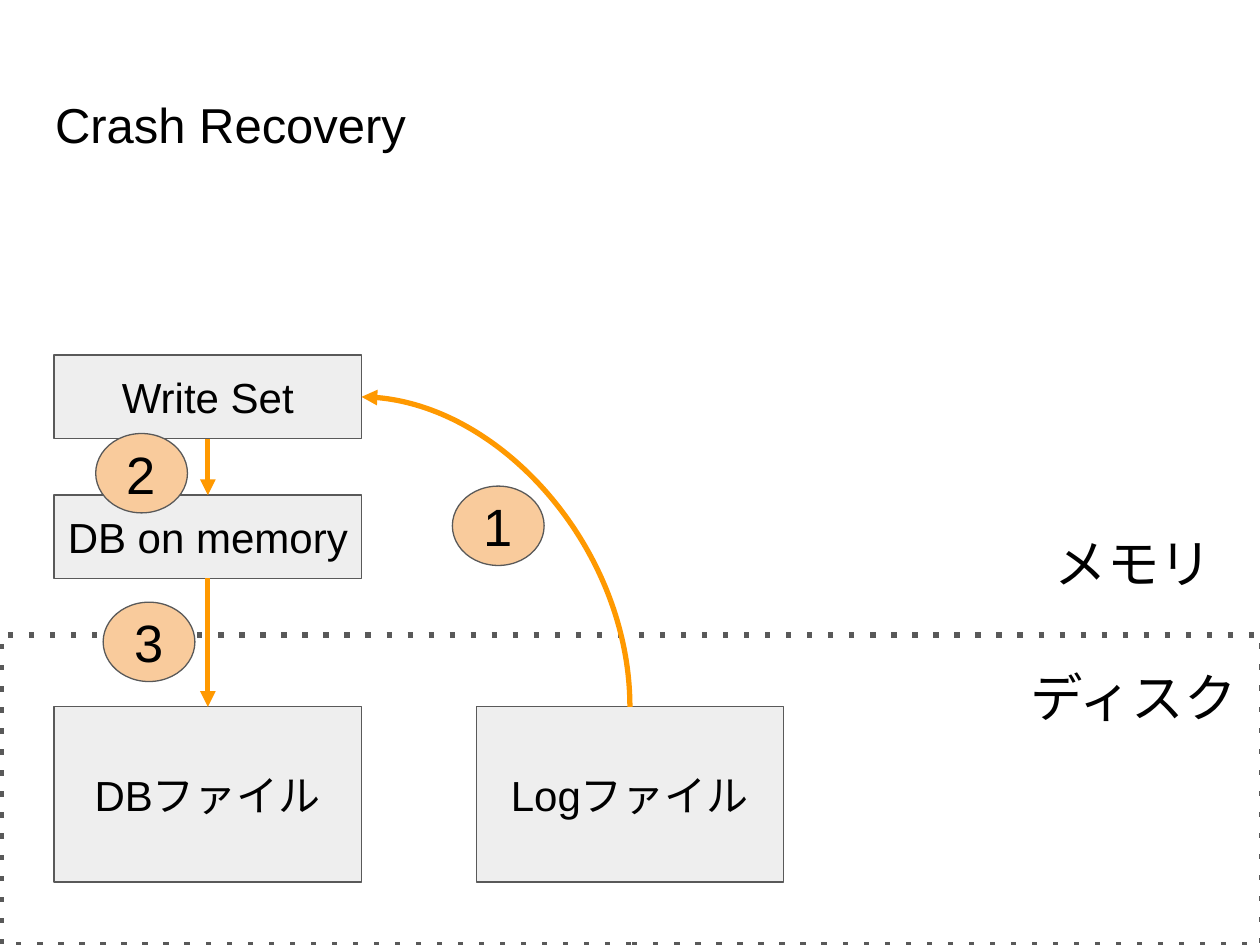
from dataclasses import dataclass

from lxml import etree
from pptx import Presentation
from pptx.dml.color import RGBColor
from pptx.enum.dml import MSO_LINE
from pptx.enum.shapes import MSO_CONNECTOR, MSO_SHAPE
from pptx.enum.text import MSO_ANCHOR, PP_ALIGN
from pptx.oxml.ns import qn
from pptx.util import Cm, Pt

RECTANGLE, OVAL = MSO_SHAPE.RECTANGLE, MSO_SHAPE.OVAL
STRAIGHT, CURVE = MSO_CONNECTOR.STRAIGHT, MSO_CONNECTOR.CURVE
LEFT, CENTER = PP_ALIGN.LEFT, PP_ALIGN.CENTER
TOP, MIDDLE = MSO_ANCHOR.TOP, MSO_ANCHOR.MIDDLE
BOTTOM_SITE, TOP_SITE = 2, 0
TITLE_ONLY = 5


@dataclass(frozen=True)
class Theme:
    font: str = "Arial"
    ink: RGBColor = RGBColor(0x00, 0x00, 0x00)
    outline: RGBColor = RGBColor(0x59, 0x59, 0x59)
    box: RGBColor = RGBColor(0xEE, 0xEE, 0xEE)
    step: RGBColor = RGBColor(0xF9, 0xCB, 0x9C)
    arrow: RGBColor = RGBColor(0xFF, 0x99, 0x00)
    title_size: int = 28
    box_size: int = 24
    label_size: int = 30
    thin: float = 0.75
    thick: float = 3


THEME = Theme()


def write(shape, text, size=THEME.box_size, align=CENTER, anchor=MIDDLE):
    frame = shape.text_frame
    frame.word_wrap = True
    frame.vertical_anchor = anchor
    frame.margin_left = frame.margin_right = Cm(0.25)
    frame.margin_top = frame.margin_bottom = Cm(0.25)
    para = frame.paragraphs[0]
    para.alignment = align
    span = para.add_run()
    span.text = text
    span.font.name = THEME.font
    span.font.size = Pt(size)
    span.font.color.rgb = THEME.ink


def add_box(page, kind, left, top, width, height, fill=None, weight=THEME.thin):
    box = page.shapes.add_shape(kind, Cm(left), Cm(top), Cm(width), Cm(height))
    box.shadow.inherit = False
    if fill is None:
        box.fill.background()
    else:
        box.fill.solid()
        box.fill.fore_color.rgb = fill
    box.line.color.rgb = THEME.outline
    box.line.width = Pt(weight)
    return box


def add_store(page, text, left, top, height):
    box = add_box(page, RECTANGLE, left, top, 6.2, height, THEME.box)
    write(box, text)
    return box


def add_step(page, number, left, top):
    step = add_box(page, OVAL, left, top, 1.85, 1.6, THEME.step)
    write(step, str(number), THEME.label_size)


def add_label(page, text, top):
    label = page.shapes.add_textbox(Cm(20.29), Cm(top), Cm(5.13), Cm(1.78))
    write(label, text, THEME.label_size, anchor=TOP)


def style_arrow(arrow):
    arrow.line.color.rgb = THEME.arrow
    arrow.line.width = Pt(THEME.thick)
    properties = arrow.element.spPr
    line = properties.find(qn("a:ln"))
    etree.SubElement(line, qn("a:tailEnd"), type="triangle")
    etree.SubElement(properties, qn("a:effectLst"))


def add_down_arrow(page, upper, lower):
    arrow = page.shapes.add_connector(STRAIGHT, 0, 0, 0, 0)
    arrow.begin_connect(upper, BOTTOM_SITE)
    arrow.end_connect(lower, TOP_SITE)
    style_arrow(arrow)


def add_arc_arrow(page, source, target):
    """Quarter curve from the top of source to the right side of target."""
    start_x, start_y = source.left + source.width // 2, source.top
    end_x, end_y = target.left + target.width, target.top + target.height // 2
    middle_x, middle_y = (start_x + end_x) // 2, (start_y + end_y) // 2
    # The frame is turned by 90 degrees, so its half sides swap
    half_width, half_height = (start_y - end_y) // 2, (start_x - end_x) // 2
    arrow = page.shapes.add_connector(
        CURVE, middle_x + half_width, middle_y - half_height,
        middle_x - half_width, middle_y + half_height)
    properties = arrow.element.spPr
    properties.find(qn("a:xfrm")).set("rot", str(90 * 60000))
    properties.find(qn("a:prstGeom")).set("prst", "curvedConnector2")
    style_arrow(arrow)


def add_disk_area(page):
    area = add_box(page, RECTANGLE, 0.03, 12.8, 25.4, 6.25, weight=THEME.thick)
    area.line.dash_style = MSO_LINE.ROUND_DOT
    dash = area.element.spPr.find(qn("a:ln")).find(qn("a:prstDash"))
    dash.set("val", "dot")


def add_title(page, text):
    title = page.shapes.title
    title.left, title.top = Cm(0.86), Cm(1.65)
    title.width, title.height = Cm(23.67), Cm(2.11)
    write(title, text, THEME.title_size, LEFT, TOP)


def main():
    deck = Presentation()
    deck.slide_width, deck.slide_height = Cm(25.4), Cm(19.05)
    page = deck.slides.add_slide(deck.slide_layouts[TITLE_ONLY])
    add_title(page, "Crash Recovery")

    # Disk and memory regions
    add_disk_area(page)
    add_label(page, "ディスク", 13.16)
    add_label(page, "メモリ", 10.46)

    # Stores on disk and in memory
    left_column, right_column = 1.09, 9.6
    database_file = add_store(page, "DBファイル", left_column, 14.25, 3.53)
    log_file = add_store(page, "Logファイル", right_column, 14.25, 3.53)
    database = add_store(page, "DB on memory", left_column, 9.98, 1.68)
    write_set = add_store(page, "Write Set", left_column, 7.16, 1.68)

    # Recovery flow
    add_arc_arrow(page, log_file, write_set)
    add_down_arrow(page, write_set, database)
    add_down_arrow(page, database, database_file)

    # Step numbers
    steps = [(9.12, 9.8), (1.93, 8.74), (2.08, 12.14)]
    for number, (left, top) in enumerate(steps, start=1):
        add_step(page, number, left, top)

    deck.save("out.pptx")


if __name__ == "__main__":
    main()
